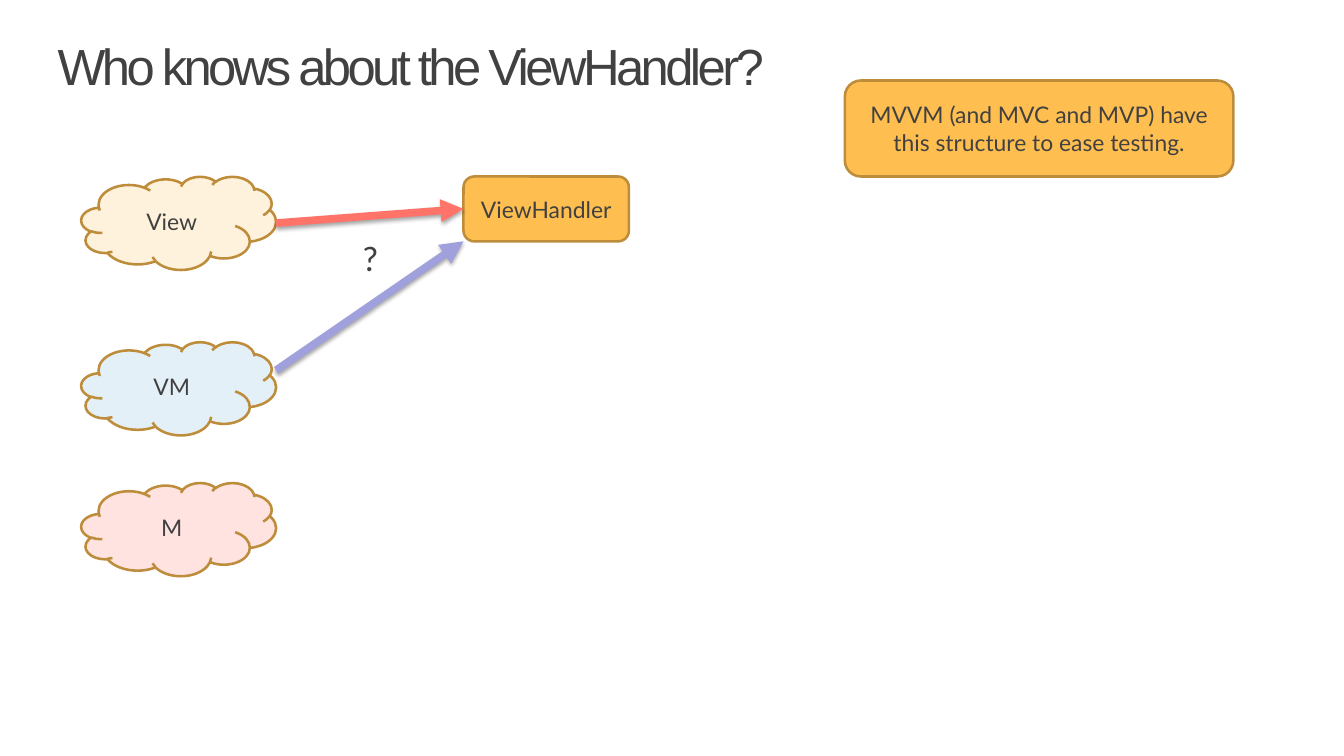
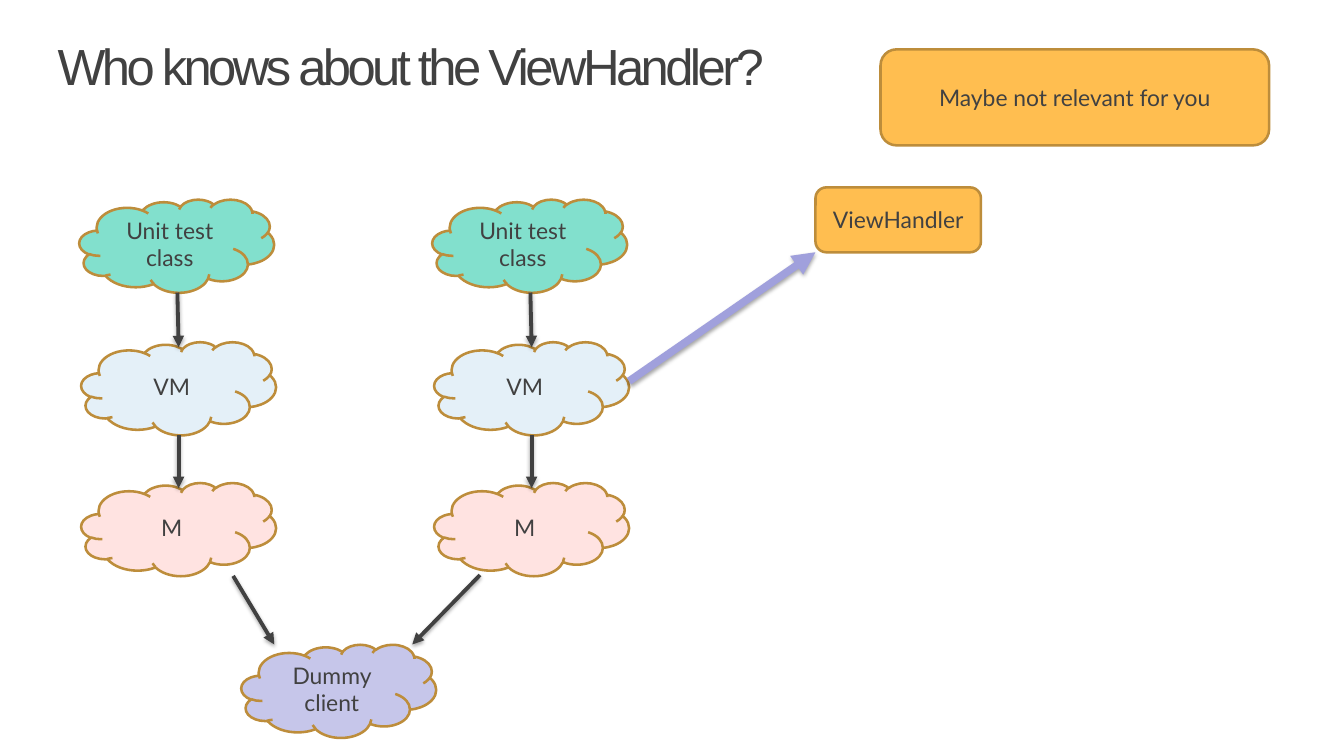
from dataclasses import dataclass

from lxml.etree import SubElement as Sub
from pptx import Presentation
from pptx.dml.color import RGBColor as RGB
from pptx.enum.shapes import MSO_CONNECTOR as Conn, MSO_SHAPE as Form
from pptx.enum.text import MSO_ANCHOR as Anchor, MSO_AUTO_SIZE as Fit, PP_ALIGN as Align
from pptx.oxml.ns import qn
from pptx.util import Pt


@dataclass(frozen=True)
class Theme:
    ink: str = "414141"
    edge: str = "BD8D3B"
    gold: str = "FFBE50"
    cream: str = "FFF2DC"
    sky: str = "E4F0F8"
    rose: str = "FFE3E1"
    mint: str = "82E0CD"
    lilac: str = "C6C6EA"
    violet: str = "A0A0DC"
    coral: str = "FF7369"
    head: int = 40
    mark: int = 28
    body: int = 18


T = Theme()
CLOUD = (153.4, 73.4)
NOTE = (306, 75.6)
BOX = (130.3, 51.1)
LEFT, RIGHT = 64, 342
VM_TOP, M_TOP = 269.3, 380.2


class Deck:
    def __init__(self):
        self.prs = Presentation()
        self.prs.slide_width = Pt(1058.4)
        self.prs.slide_height = Pt(595.44)
        self.shapes = None

    def style(self, para, face, size):
        para.font.name = face
        para.font.size = Pt(size)
        para.font.color.rgb = RGB.from_string(T.ink)

    def label(self, frame, text, face, size, space, lead):
        frame.margin_left = frame.margin_right = frame.margin_bottom = 0
        frame.vertical_anchor = Anchor.TOP
        para = frame.paragraphs[0]
        run = para.add_run()
        run.text = text
        run._r.get_or_add_rPr().set("spc", str(space))
        para.alignment = Align.LEFT
        para.line_spacing = lead
        self.style(para, face, size)
        return para

    def page(self, title):
        slide = self.prs.slides.add_slide(self.prs.slide_layouts[5])
        self.shapes = slide.shapes
        head = self.shapes.title
        head.left, head.top, head.width, head.height = map(Pt, (45.4, 31, 1013, 73.4))
        frame = head.text_frame
        frame.auto_size = Fit.NONE
        frame.margin_top = Pt(8.6)
        self.label(frame, title, "Arial", T.head, -280, 0.73)

    def mark(self, text, x, y):
        box = self.shapes.add_textbox(Pt(x), Pt(y), Pt(12.2), Pt(28.8))
        frame = box.text_frame
        frame.margin_top = 0
        frame.word_wrap = False
        frame.auto_size = Fit.SHAPE_TO_FIT_TEXT
        para = self.label(frame, text, "Calibri", T.mark, -100, 0.83)
        para.space_before = Pt(5.6)

    def shape(self, form, text, x, y, size, fill):
        item = self.shapes.add_shape(form, Pt(x), Pt(y), *map(Pt, size))
        item.shadow.inherit = False
        item.fill.solid()
        item.fill.fore_color.rgb = RGB.from_string(fill)
        item.line.color.rgb = RGB.from_string(T.edge)
        item.line.width = Pt(2)
        item.text_frame.text = text
        para = item.text_frame.paragraphs[0]
        para.alignment = Align.CENTER
        self.style(para, "Lato", T.body)
        return item

    def cloud(self, text, x, y, fill):
        return self.shape(Form.CLOUD, text, x, y, CLOUD, fill)

    def box(self, text, x, y, size):
        return self.shape(Form.ROUNDED_RECTANGLE, text, x, y, size, T.gold)

    def arrow(self, start, end, color=T.ink, width=3):
        line = self.shapes.add_connector(Conn.STRAIGHT, *map(Pt, start + end))
        line.line.color.rgb = RGB.from_string(color)
        line.line.width = Pt(width)
        props = line._element.spPr
        Sub(props.find(qn("a:ln")), qn("a:tailEnd"), type="triangle")
        effect = Sub(props, qn("a:effectLst"))
        shade = Sub(effect, qn("a:outerShdw"), blurRad="40000", dist="23000",
                    dir="5400000", rotWithShape="0")
        black = Sub(shade, qn("a:srgbClr"), val="000000")
        Sub(black, qn("a:alpha"), val="35000")
        return line

    def layers(self, x):
        self.cloud("VM", x, VM_TOP, T.sky)
        self.cloud("M", x, M_TOP, T.rose)

    def stack(self, x):
        self.layers(x)
        self.cloud("Unit test class", x - 1.5, 157, T.mint)
        mid = x + CLOUD[0] / 2
        self.arrow((mid - 1, 230.4), (mid, 273.5))
        self.arrow((mid, VM_TOP + CLOUD[1]), (mid, 384.5))


def main():
    deck = Deck()
    title = "Who knows about the ViewHandler?"

    deck.page(title)
    deck.cloud("View", LEFT, 139, T.cream)
    deck.layers(LEFT)
    view = deck.box("ViewHandler", 365, 139, BOX)
    deck.arrow((217.4, 291.6), (365, 190.1), T.violet, 6)
    link = deck.arrow((217.4, 175.7), (365, 164.5), T.coral, 6)
    link.end_connect(view, 1)
    deck.mark("?", 285.1, 191.5)
    deck.box("MVVM (and MVC and MVP) have this structure to ease testing.", 665.3, 63.4, NOTE)

    deck.page(title)
    deck.box("Maybe not relevant for you", 693.4, 38.9, NOTE)
    for x in (LEFT, RIGHT):
        deck.stack(x)
    deck.box("ViewHandler", 642.2, 147.6, BOX)
    deck.arrow((495.4, 300.2), (642.2, 198.7), T.violet, 6)
    deck.cloud("Dummy client", 190.1, 507.6, T.lilac)
    deck.arrow((183.6, 453.6), (216, 507.6))
    deck.arrow((378, 452.9), (324.7, 507.6))

    deck.prs.save("out.pptx")


if __name__ == "__main__":
    main()
